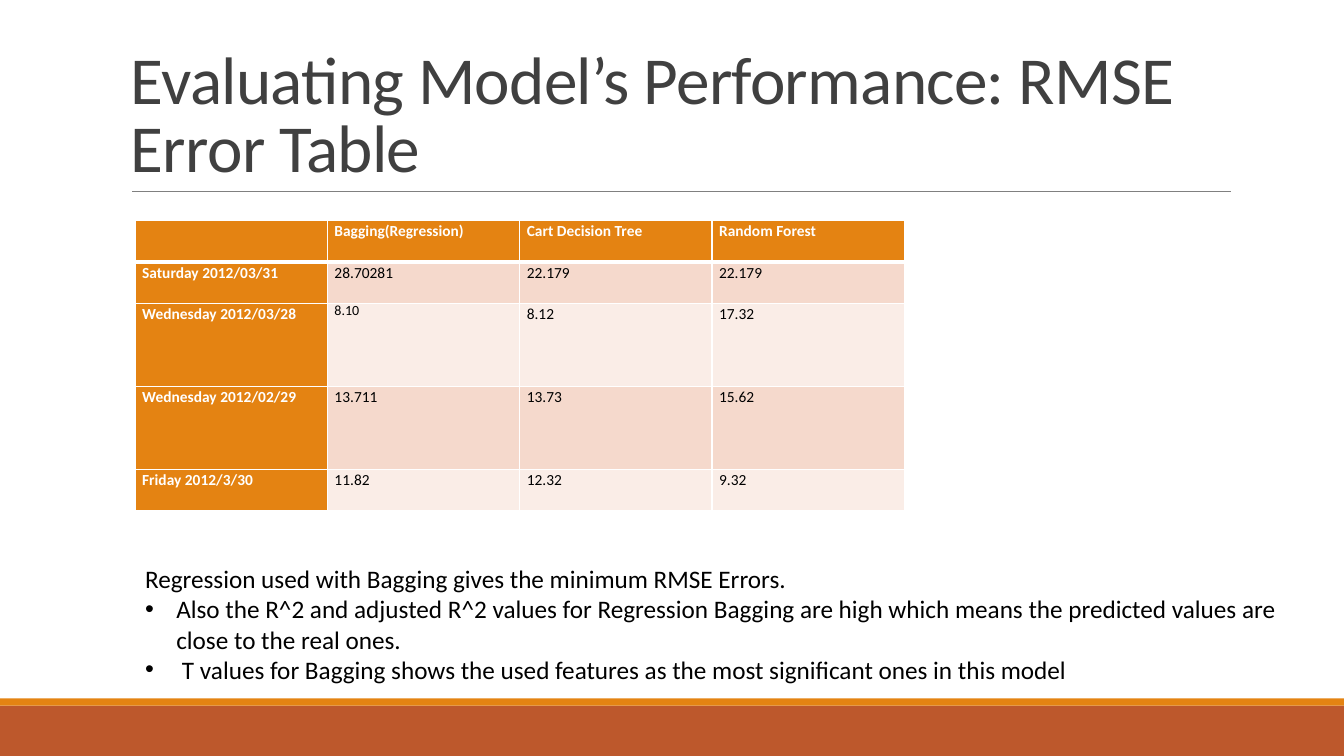
from lxml import etree
from pptx import Presentation, util as u
from pptx.dml.color import RGBColor
from pptx.enum import shapes, text
from pptx.oxml import ns

WIDTH, HEIGHT = 13.33, 7.5
ORANGE, RUST, WHITE, BLACK = "E48312", "BD582C", "FFFFFF", "000000"
BANDS = ("F5D9CC", "FAEDE7")

TITLE = "Evaluating Model’s Performance: RMSE Error Table"
ROWS = [
    ("", "Bagging(Regression)", "Cart Decision Tree", "Random Forest"),
    ("Saturday 2012/03/31", "28.70281", "22.179", "22.179"),
    ("Wednesday 2012/03/28", "8.10", "8.12", "17.32"),
    ("Wednesday 2012/02/29", "13.711", "13.73", "15.62"),
    ("Friday 2012/3/30", "11.82", "12.32", "9.32"),
]
ROW_UNITS = (1, 1, 2, 2, 1)
FINDINGS = [
    "Regression used with Bagging gives the minimum RMSE Errors.",
    "Also the R^2 and adjusted R^2 values for Regression Bagging are high "
    "which means the predicted values are close to the real ones.",
    " T values for Bagging shows the used features as the most significant "
    "ones in this model",
]


def color(value):
    return RGBColor.from_string(value)


def inches(*lengths):
    return [u.Inches(length) for length in lengths]


def apply(target, **values):
    for name, value in values.items():
        setattr(target, name, value)


def add_child(parent, tag, **attributes):
    return etree.SubElement(parent, ns.qn(tag), attributes)


def write(paragraph, words, size, shade, bold=False):
    run = paragraph.add_run()
    run.text = words
    apply(run.font, name="Calibri", size=u.Pt(size), bold=bold)
    run.font.color.rgb = color(shade)
    return run


def add_text_frame(slide, box, **values):
    frame = slide.shapes.add_textbox(*inches(*box)).text_frame
    apply(frame, word_wrap=True, **values)
    return frame


def add_frame_parts(slide, box):
    """Footer bands and the rule under the title."""
    left, top, width, height = box
    for start, end, shade in ((7, 7.5, RUST), (6.93, 7, ORANGE)):
        band = slide.shapes.add_shape(
            shapes.MSO_SHAPE.RECTANGLE,
            *inches(left, top + start, width, end - start))
        band.shadow.inherit = False
        band.fill.solid()
        band.fill.fore_color.rgb = color(shade)
        band.line.fill.background()
    rule = slide.shapes.add_connector(
        shapes.MSO_CONNECTOR.STRAIGHT,
        *inches(left + 1.31, top + 1.9, left + 12.21, top + 1.9))
    rule.line.width = u.Pt(0.5)
    rule.line.color.rgb = color("808080")
    add_child(rule._element.spPr, "a:effectLst")


def add_title(slide, box):
    frame = add_text_frame(slide, box, vertical_anchor=text.MSO_ANCHOR.BOTTOM)
    paragraph = frame.paragraphs[0]
    paragraph.line_spacing = 0.85
    run = write(paragraph, TITLE, 48, "404040")
    run.font._element.set("spc", "-50")


def add_borders(cell, **widths):
    properties = cell._tc.get_or_add_tcPr()
    for side in "LRTB":
        line = add_child(properties, f"a:ln{side}",
                         w=str(u.Pt(widths.get(side, 1))))
        add_child(add_child(line, "a:solidFill"), "a:srgbClr", val=WHITE)


def add_error_table(slide, box):
    left, top, width, height = box
    table = slide.shapes.add_table(
        len(ROWS), len(ROWS[0]), *inches(*box)).table
    for column in table.columns:
        column.width = u.Inches(width / len(ROWS[0]))
    for r, (units, values) in enumerate(zip(ROW_UNITS, ROWS)):
        table.rows[r].height = u.Inches(height * units / sum(ROW_UNITS))
        for c, value in enumerate(values):
            cell = table.cell(r, c)
            heading = r == 0 or c == 0
            apply(cell, margin_left=u.Inches(0.07), margin_top=0,
                  margin_right=u.Inches(0.07), margin_bottom=0)
            # Thicker line between the header and the body
            add_borders(cell, **{0: {"B": 3}, 1: {"T": 3}}.get(r, {}))
            cell.fill.solid()
            cell.fill.fore_color.rgb = color(
                ORANGE if heading else BANDS[(r - 1) % 2])
            paragraph = cell.text_frame.paragraphs[0]
            small = value == "8.10"
            paragraph.line_spacing = u.Pt(11.2) if small else 1.07
            if value:
                write(paragraph, value, 10 if small else 11,
                      WHITE if heading else BLACK, heading)


def add_findings(slide, box):
    frame = add_text_frame(slide, box)
    for index, finding in enumerate(FINDINGS):
        paragraph = frame.add_paragraph() if index else frame.paragraphs[0]
        if index:
            properties = paragraph._p.get_or_add_pPr()
            indent = u.Inches(0.31)
            properties.set("marL", str(indent))
            properties.set("indent", str(-indent))
            add_child(properties, "a:buFont", typeface="Arial")
            add_child(properties, "a:buChar", char="•")
        write(paragraph, finding, 18, BLACK)


def main():
    presentation = Presentation()
    apply(presentation, slide_width=u.Inches(WIDTH),
          slide_height=u.Inches(HEIGHT))
    slide = presentation.slides.add_slide(presentation.slide_layouts[6])
    add_frame_parts(slide, (0, 0, WIDTH, HEIGHT))
    add_title(slide, (1.2, 0.31, 11, 1.59))
    add_error_table(slide, (1.34, 2.19, 7.63, 2.88))
    add_findings(slide, (1.34, 5.54, 11.42, 1.31))
    presentation.save("out.pptx")


if __name__ == "__main__":
    main()
